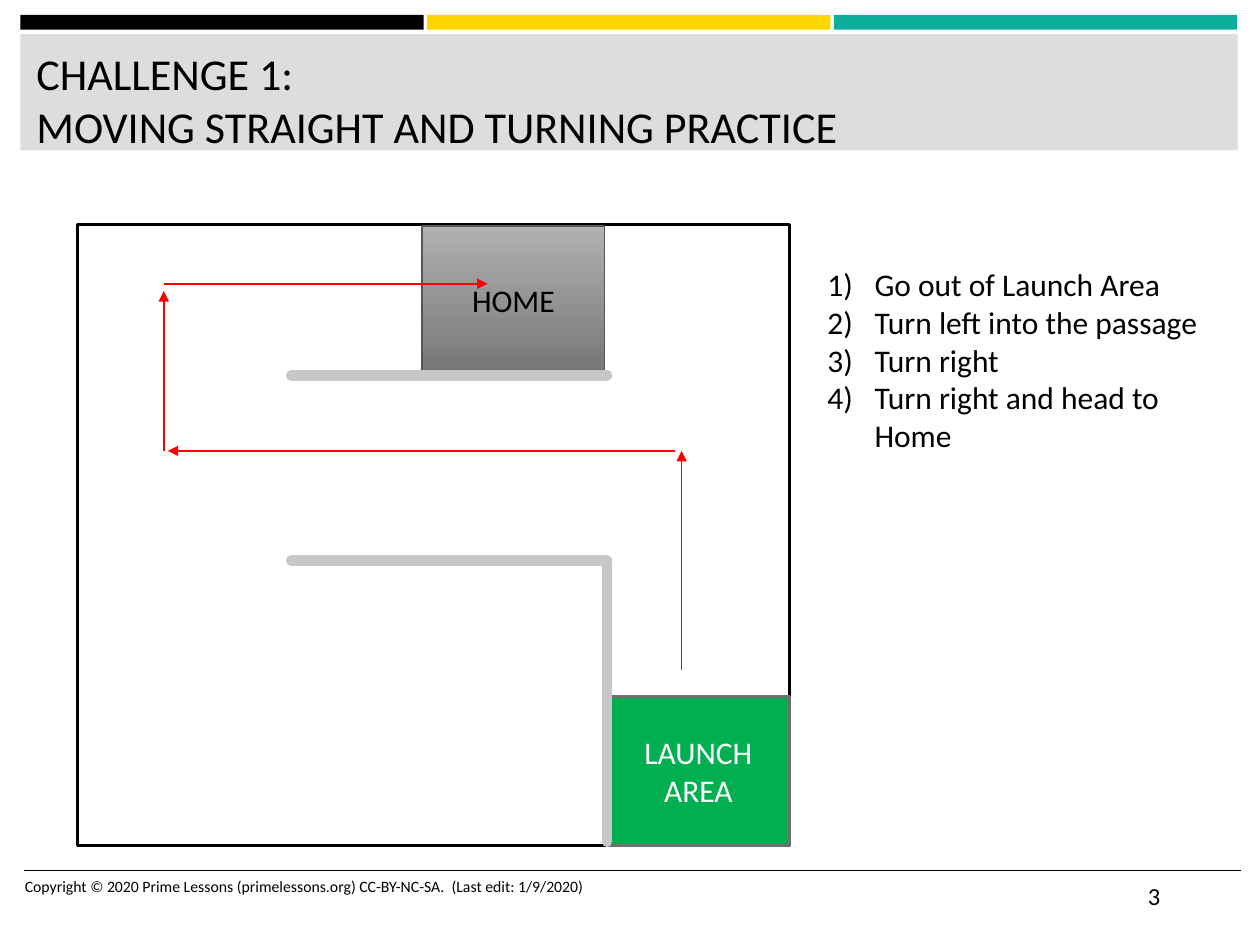
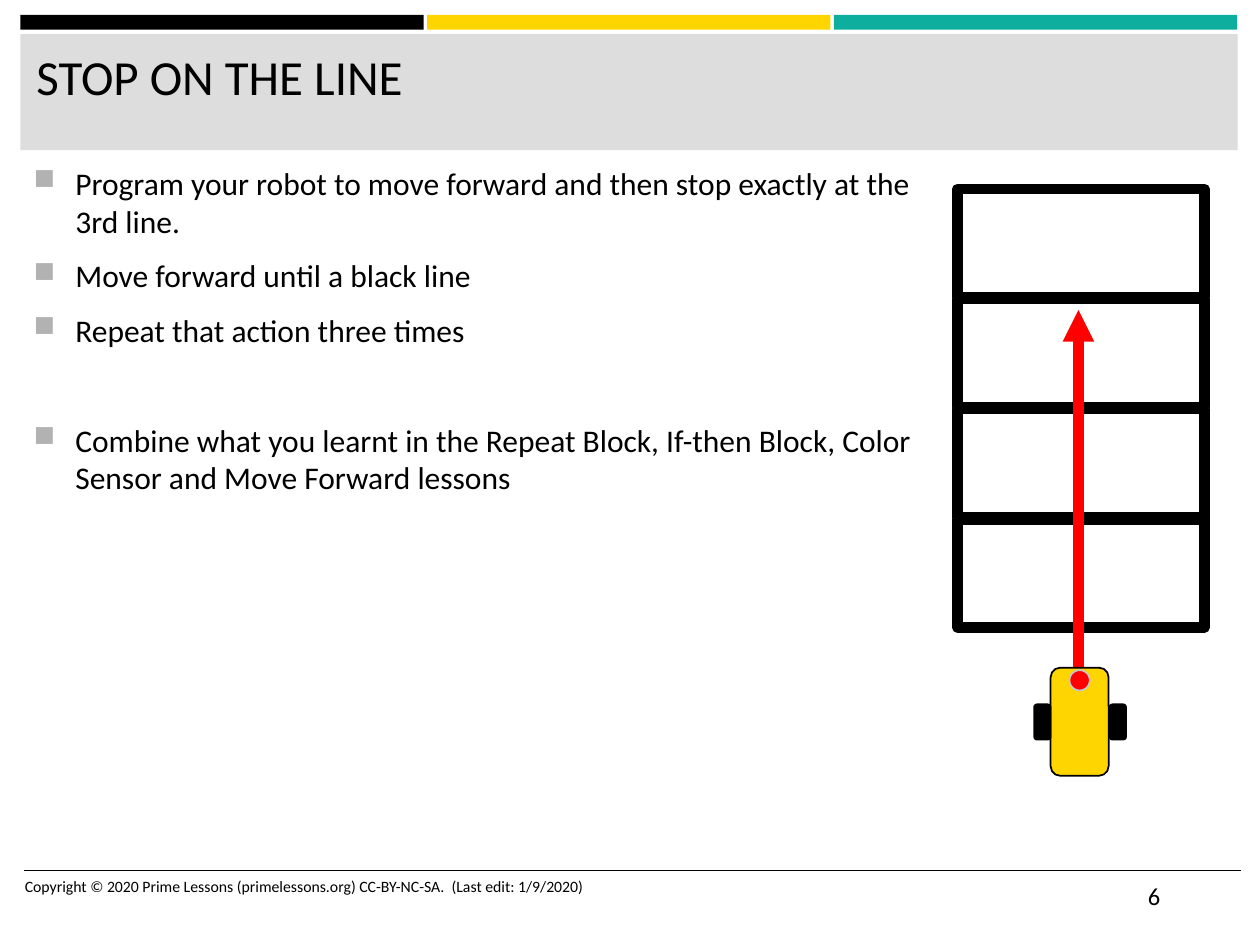
from lxml import etree
from pptx import Presentation
from pptx.dml.color import RGBColor
from pptx.enum.shapes import MSO_CONNECTOR, MSO_SHAPE
from pptx.enum.text import MSO_ANCHOR, MSO_AUTO_SIZE, PP_ALIGN
from pptx.oxml.ns import qn
from pptx.util import Cm, Pt

RECT = MSO_SHAPE.RECTANGLE
ROUNDED = MSO_SHAPE.ROUNDED_RECTANGLE
OVAL = MSO_SHAPE.OVAL
STRAIGHT = MSO_CONNECTOR.STRAIGHT
TOP, MIDDLE = MSO_ANCHOR.TOP, MSO_ANCHOR.MIDDLE
LEFT, CENTER = PP_ALIGN.LEFT, PP_ALIGN.CENTER
NO_AUTOFIT = MSO_AUTO_SIZE.NONE
TITLE_ONLY = 5

FONT = "Calibri"
BLACK, WHITE, RED = "000000", "FFFFFF", "FF0000"
YELLOW, TEAL, GREEN = "FFD500", "0EAE9F", "00B050"
BAND_GRAY, WALL_GRAY, BULLET_GRAY = "DDDDDD", "C7C7C7", "B2B2B2"
COPYRIGHT = "Copyright © 2020 Prime Lessons (primelessons.org) CC-BY-NC-SA.  (Last edit: 1/9/2020)"


def rgb(hex_color):
    return RGBColor.from_string(hex_color)


def cm_box(box):
    return [Cm(length) for length in box]


def style_font(paragraph, size, color=BLACK):
    font = paragraph.font
    font.name, font.size, font.color.rgb = FONT, Pt(size), rgb(color)


def fill_text(shape, text, size, color=BLACK, align=LEFT, anchor=TOP):
    frame = shape.text_frame
    frame.word_wrap = True
    frame.auto_size = NO_AUTOFIT
    frame.vertical_anchor = anchor
    frame.text = text
    for paragraph in frame.paragraphs:
        paragraph.alignment = align
        style_font(paragraph, size, color)
    return frame


def add_text(slide, box, text, size, anchor=TOP):
    return fill_text(slide.shapes.add_textbox(*cm_box(box)), text, size, anchor=anchor)


def add_block(shapes, box, fill=None, line=None, width=1, kind=RECT):
    block = shapes.add_shape(kind, *cm_box(box))
    block.shadow.inherit = False
    if fill:
        block.fill.solid()
        block.fill.fore_color.rgb = rgb(fill)
    else:
        block.fill.background()
    if line:
        block.line.color.rgb = rgb(line)
        block.line.width = Pt(width)
    else:
        block.line.fill.background()
    return block


def add_line(slide, start, end, color, width, arrow=False, cap="flat"):
    line = slide.shapes.add_connector(STRAIGHT, *cm_box(start + end))
    line.line.color.rgb = rgb(color)
    line.line.width = Pt(width)
    properties = line.element.spPr
    outline = properties.find(qn("a:ln"))
    outline.set("cap", cap)
    if arrow:
        etree.SubElement(outline, qn("a:tailEnd"), type="triangle")
    etree.SubElement(properties, qn("a:effectLst"))


def set_hanging(paragraph, indent):
    properties = paragraph._p.get_or_add_pPr()
    properties.set("marL", str(Cm(indent)))
    properties.set("indent", str(-Cm(indent)))
    return properties


def add_numbered_list(slide, box, steps):
    frame = add_text(slide, box, "", 18, MIDDLE)
    for index, step in enumerate(steps):
        paragraph = frame.add_paragraph() if index else frame.paragraphs[0]
        properties = set_hanging(paragraph, 0.95)
        for old in list(properties):
            properties.remove(old)
        etree.SubElement(properties, qn("a:buAutoNum"), type="arabicParenR")
        paragraph.text = step
        style_font(paragraph, 18)


def add_bullet_list(slide, box, items):
    frame = slide.shapes.add_textbox(*cm_box(box)).text_frame
    frame.word_wrap = True
    for index, (item, space_before) in enumerate(items):
        paragraph = frame.add_paragraph() if index else frame.paragraphs[0]
        paragraph.text = item
        paragraph.space_before = Pt(space_before)
        paragraph.space_after = Pt(6)
        properties = set_hanging(paragraph, 0.84)
        bullet_color = etree.SubElement(properties, qn("a:buClr"))
        etree.SubElement(bullet_color, qn("a:srgbClr"), val=BULLET_GRAY)
        etree.SubElement(properties, qn("a:buSzPct"), val="92000")
        etree.SubElement(properties, qn("a:buChar"), char="■")
        style_font(paragraph, 18)


def start_slide(deck, title_text, title_size, number):
    slide = deck.slides.add_slide(deck.slide_layouts[TITLE_ONLY])
    for column, color in enumerate((BLACK, YELLOW, TEAL)):
        add_block(slide.shapes, (0.41 + column * 8.2, 0.3, 8.13, 0.3), color)
    add_block(slide.shapes, (0.41, 0.69, 24.54, 2.34), BAND_GRAY)
    add_line(slide, (0.48, 17.55), (25.02, 17.55), BLACK, 1)

    title = slide.shapes.title
    title.left, title.top, title.width, title.height = cm_box((0.48, 0.81, 24.31, 2.08))
    fill_text(title, title_text, title_size)
    slide.shapes.element.append(title.element)

    add_text(slide, (0.25, 17.55, 13.54, 1.02), COPYRIGHT, 9)
    add_text(slide, (22.89, 17.55, 2.13, 1.02), str(number), 14, MIDDLE)
    return slide


def draw_field(slide, box):
    left, top, width, height = box
    area_width, area_height = 3.68, 3

    def at(x, y):
        return left + x, top + y

    add_block(slide.shapes, box, WHITE, BLACK, 1.75)
    launch_corner = at(width - area_width, height - area_height)
    launch = add_block(slide.shapes, launch_corner + (area_width, area_height),
                       GREEN, "6F6F6F", 1.75)
    fill_text(launch, "LAUNCH AREA", 18, WHITE, CENTER, MIDDLE)

    home = add_block(slide.shapes, at(6.94, 0.03) + (area_width, area_height), line="565656")
    home.fill.gradient()
    home.fill.gradient_angle = 270
    for stop, color in zip(home.fill.gradient_stops, ("B1B1B1", "767676")):
        stop.color.rgb = rgb(color)
    fill_text(home, "HOME", 18, BLACK, CENTER, MIDDLE)

    route = (
        ((12.17, 8.99), (12.17, 4.57)),
        ((12.04, 4.57), (1.81, 4.57)),
        ((1.73, 4.57), (1.73, 1.35)),
        ((1.73, 1.2), (8.26, 1.2)),
    )
    walls = (
        ((10.67, 12.45), (10.67, 6.78)),
        ((10.67, 6.78), (4.3, 6.78)),
        ((10.67, 3.05), (4.3, 3.05)),
    )
    for start, end in walls:
        add_line(slide, at(*start), at(*end), WALL_GRAY, 6, cap="rnd")
    for start, end in route:
        add_line(slide, at(*start), at(*end), RED, 1, arrow=True)


def draw_track(slide, box, cells=4):
    left, top, width, height = box
    cell_height = 2.18
    pitch = (height - cell_height) / (cells - 1)
    for row in range(cells):
        add_block(slide.shapes, (left, top + row * pitch, width, cell_height),
                  line=BLACK, width=6)
    arrow_x = left + 2.44
    add_line(slide, (arrow_x, top + 10.87), (arrow_x, top + 2.44), RED, 6, arrow=True)


def draw_robot(slide, left, top):
    robot = slide.shapes.add_group_shape().shapes
    add_block(robot, (left + 0.33, top, 1.17, 2.18), YELLOW, BLACK, kind=ROUNDED)
    for wheel_x in (0, 1.52):
        add_block(robot, (left + wheel_x, top + 0.74, 0.33, 0.71), BLACK, BLACK, kind=ROUNDED)
    add_block(robot, (left + 0.71, top + 0.05, 0.41, 0.41), RED, WALL_GRAY, kind=OVAL)


def build_challenge(deck):
    slide = start_slide(deck, "CHALLENGE 1:\vMOVING STRAIGHT AND TURNING PRACTICE", 25.2, 3)
    draw_field(slide, (1.57, 4.52, 14.35, 12.52))
    add_numbered_list(slide, (16.43, 4.34, 7.98, 5.82), (
        "Go out of Launch Area",
        "Turn left into the passage",
        "Turn right",
        "Turn right and head to Home",
    ))


def build_stop_on_line(deck):
    slide = start_slide(deck, "STOP ON THE LINE", 28, 6)
    add_bullet_list(slide, (0.43, 3.18, 18.24, 14.12), (
        ("Program your robot to move forward and then stop exactly at the 3rd line.", 0),
        ("Move forward until a black line", 3.6),
        ("Repeat that action three times", 3.6),
        ("Combine what you learnt in the Repeat Block, If-then Block, "
         "Color Sensor and Move Forward lessons", 35),
    ))
    draw_track(slide, (19.3, 3.81, 4.98, 8.84))
    draw_robot(slide, 20.85, 13.46)


def main():
    deck = Presentation()
    deck.slide_width, deck.slide_height = Cm(25.4), Cm(19.05)
    build_challenge(deck)
    build_stop_on_line(deck)
    deck.save("out.pptx")


if __name__ == "__main__":
    main()
